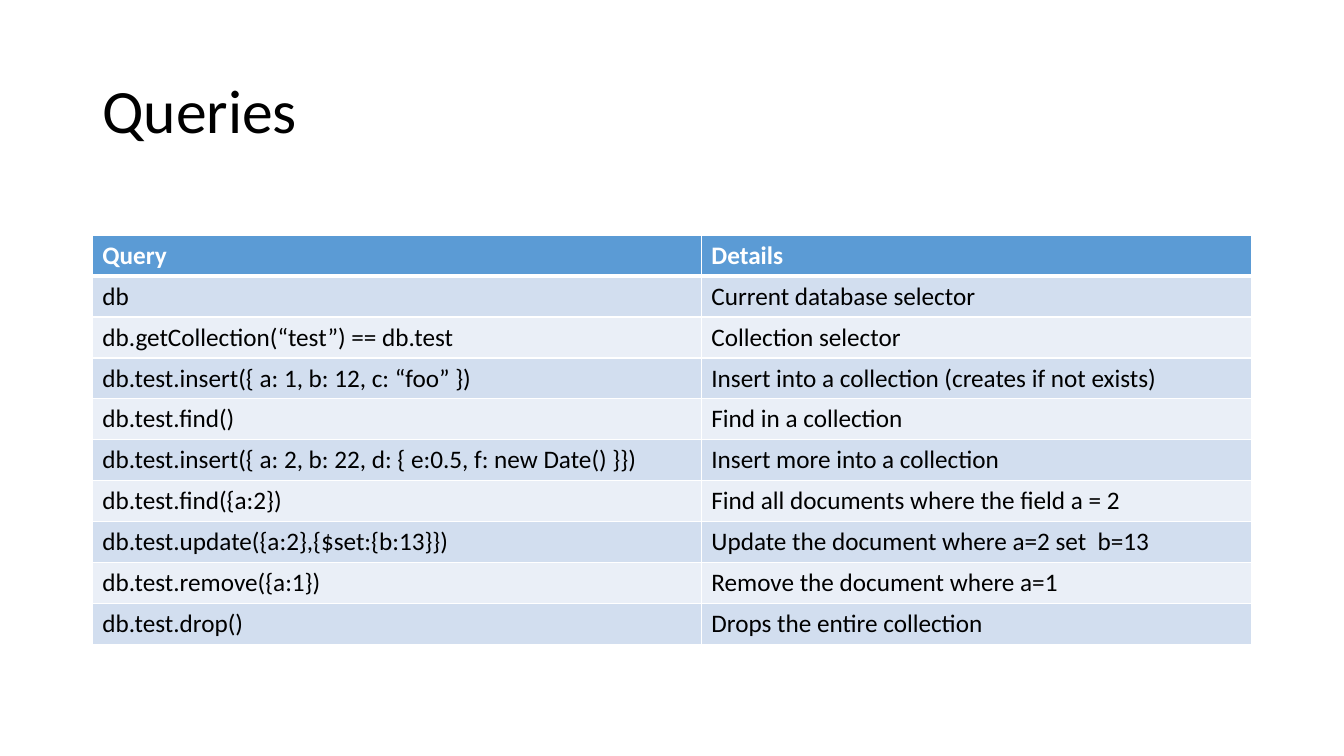
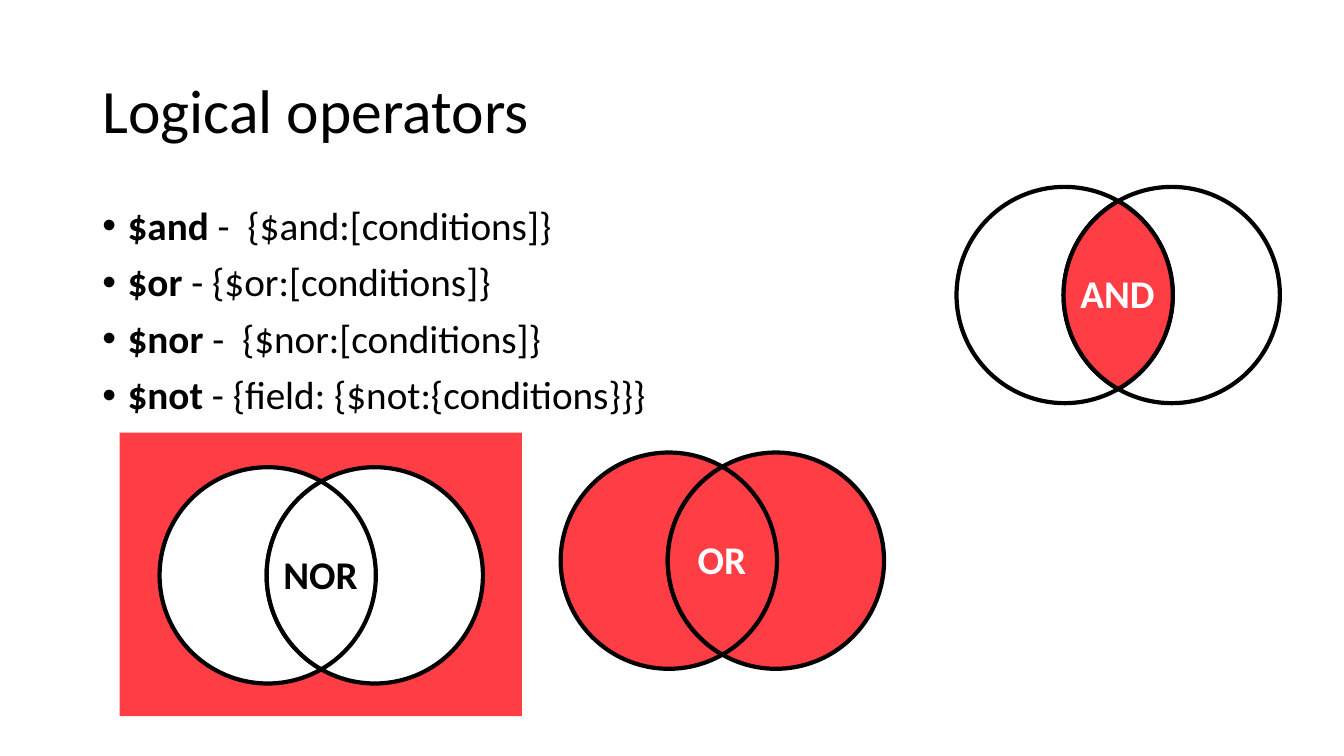
from math import acos, cos, sin, tan

from lxml.etree import SubElement
from pptx import Presentation
from pptx.dml.color import RGBColor
from pptx.enum.shapes import MSO_SHAPE
from pptx.enum.text import MSO_ANCHOR, MSO_AUTO_SIZE, PP_ALIGN
from pptx.oxml.ns import qn
from pptx.util import Pt

PX = 9525
FONT = "Calibri"
BLACK = RGBColor(0x00, 0x00, 0x00)
WHITE = RGBColor(0xFF, 0xFF, 0xFF)
RED = RGBColor(0xFF, 0x3D, 0x44)
BLUE = RGBColor(0x5B, 0x9B, 0xD5)
BANDS = (RGBColor(0xD2, 0xDE, 0xEF), RGBColor(0xEA, 0xEF, 0xF7))

TITLE_BOX = (88, 38, 1104, 140)
BODY_BOX = (88, 192, 1104, 457)
RADIUS = 103
OFFSET = 102

QUERIES = [
    ("Query", "Details"),
    ("db", "Current database selector"),
    ("db.getCollection(“test”) == db.test", "Collection selector"),
    ("db.test.insert({ a: 1, b: 12, c: “foo” })",
     "Insert into a collection (creates if not exists)"),
    ("db.test.find()", "Find in a collection"),
    ("db.test.insert({ a: 2, b: 22, d: { e:0.5, f: new Date() }})",
     "Insert more into a collection"),
    ("db.test.find({a:2})", "Find all documents where the field a = 2"),
    ("db.test.update({a:2},{$set:{b:13}})",
     "Update the document where a=2 set  b=13"),
    ("db.test.remove({a:1})", "Remove the document where a=1"),
    ("db.test.drop()", "Drops the entire collection"),
]
OPERATORS = [
    ("$and", " -  {$and:[conditions]}"),
    ("$or ", "- {$or:[conditions]}"),
    ("$nor", " -  {$nor:[conditions]}"),
    ("$not ", "- {field: {$not:{conditions}}}"),
]


def px(*lengths):
    return [round(n * PX) for n in lengths]


def place(sp, box):
    sp.left, sp.top, sp.width, sp.height = px(*box)


def style(p, size, color, bold=None):
    p.font.name, p.font.size, p.font.bold = FONT, Pt(size), bold
    p.font.color.rgb = color


def paint(sp, fill, line=None):
    sp.shadow.inherit = False
    if fill is None:
        sp.fill.background()
    else:
        sp.fill.solid()
        sp.fill.fore_color.rgb = fill
    if line is None:
        sp.line.fill.background()
    else:
        sp.line.color.rgb = line
        sp.line.width = Pt(3)


def add_slide(prs, layout, title):
    s = prs.slides.add_slide(prs.slide_layouts.get_by_name(layout))
    sp = s.shapes.title
    place(sp, TITLE_BOX)
    tf = sp.text_frame
    tf.text = title
    tf.auto_size = MSO_AUTO_SIZE.NONE
    tf.vertical_anchor = MSO_ANCHOR.MIDDLE
    p = tf.paragraphs[0]
    p.alignment = PP_ALIGN.LEFT
    p.line_spacing = 0.9
    style(p, 44, BLACK)
    return s


def add_borders(cell, bottom):
    tcPr = cell._tc.get_or_add_tcPr()
    for side, width in (("L", 1), ("R", 1), ("T", 1), ("B", bottom)):
        ln = SubElement(tcPr, qn(f"a:ln{side}"), w=str(Pt(width)))
        fill = SubElement(ln, qn("a:solidFill"))
        SubElement(fill, qn("a:srgbClr"), val=str(WHITE))


def add_query_table(s, x, y, col_widths, row_height):
    size = (sum(col_widths), row_height * len(QUERIES))
    table = s.shapes.add_table(len(QUERIES), len(col_widths), *px(x, y, *size)).table
    for col, width in zip(table.columns, px(*col_widths)):
        col.width = width
    for i, row in enumerate(QUERIES):
        header = i == 0
        for j, text in enumerate(row):
            cell = table.cell(i, j)
            add_borders(cell, bottom=3 if header else 1)
            cell.fill.solid()
            cell.fill.fore_color.rgb = BLUE if header else BANDS[(i - 1) % 2]
            cell.text = text
            style(cell.text_frame.paragraphs[0], 18, WHITE if header else BLACK, header)


def add_operator_list(s, box):
    sp = s.placeholders[1]
    place(sp, box)
    tf = sp.text_frame
    tf.auto_size = MSO_AUTO_SIZE.NONE
    for i, (name, syntax) in enumerate(OPERATORS):
        p = tf.add_paragraph() if i else tf.paragraphs[0]
        style(p, 28, BLACK)
        p.line_spacing = 0.9
        p.space_before = Pt(10)
        pPr = p._p.get_or_add_pPr()
        pPr.set("marL", str(24 * PX))
        pPr.set("indent", str(-24 * PX))
        for text, bold in ((name, True), (syntax, False)):
            r = p.add_run()
            r.text = text
            r.font.bold = bold


def add_lens(shapes, cx, cy):
    half = OFFSET / 2
    angle = acos(half / RADIUS)
    w, h = RADIUS - half, RADIUS * sin(angle)
    k = RADIUS * tan(angle / 4) * 4 / 3
    kx, ky = k * sin(angle), k * cos(angle)
    curves = [
        ((kx, ky - h), (w, -k), (w, 0)),
        ((w, k), (kx, h - ky), (0, h)),
        ((-kx, h - ky), (-w, k), (-w, 0)),
        ((-w, -k), (-kx, ky - h), (0, -h)),
    ]
    builder = shapes.build_freeform(*px(cx, cy - h))
    builder.add_line_segments([px(cx + c[2][0], cy + c[2][1]) for c in curves])
    lens = builder.convert_to_shape()
    segments = list(lens._element.iter(qn("a:lnTo")))
    for segment, curve in zip(segments, curves):
        segment.tag = qn("a:cubicBezTo")
        segment.clear()
        for dx, dy in curve:
            x, y = px(w + dx, h + dy)
            SubElement(segment, qn("a:pt"), x=str(x), y=str(y))
    return lens


def add_venn(s, x, y, label, label_width, circle_fill, lens_fill, color, panel=None):
    group = s.shapes.add_group_shape().shapes
    if panel:
        paint(group.add_shape(MSO_SHAPE.RECTANGLE, *px(*panel)), RED)
    for dx in (0, OFFSET):
        circle = group.add_shape(
            MSO_SHAPE.OVAL, *px(x + dx, y, 2 * RADIUS, 2 * RADIUS))
        paint(circle, circle_fill, BLACK)
    cx, cy = x + RADIUS + OFFSET / 2, y + RADIUS
    paint(add_lens(group, cx, cy), lens_fill, BLACK)
    tb = group.add_textbox(*px(cx - label_width / 2, cy - 29, label_width, 55))
    tf = tb.text_frame
    tf.word_wrap = False
    tf.auto_size = MSO_AUTO_SIZE.SHAPE_TO_FIT_TEXT
    tf.text = label
    style(tf.paragraphs[0], 28, color, True)


def queries_slide(prs):
    s = add_slide(prs, "Title Only", "Queries")
    add_query_table(s, 88, 224, (580, 524), 39)


def operators_slide(prs):
    s = add_slide(prs, "Title and Content", "Logical operators")
    add_operator_list(s, BODY_BOX)
    add_venn(s, 911, 178, "AND", 91, None, RED, WHITE)
    add_venn(s, 534, 431, "OR", 66, RED, RED, WHITE)
    add_venn(s, 152, 445, "NOR", 91, WHITE, WHITE, BLACK, panel=(114, 412, 383, 270))


def main():
    prs = Presentation()
    prs.slide_width, prs.slide_height = px(1280, 720)
    queries_slide(prs)
    operators_slide(prs)
    prs.save("out.pptx")


if __name__ == "__main__":
    main()
